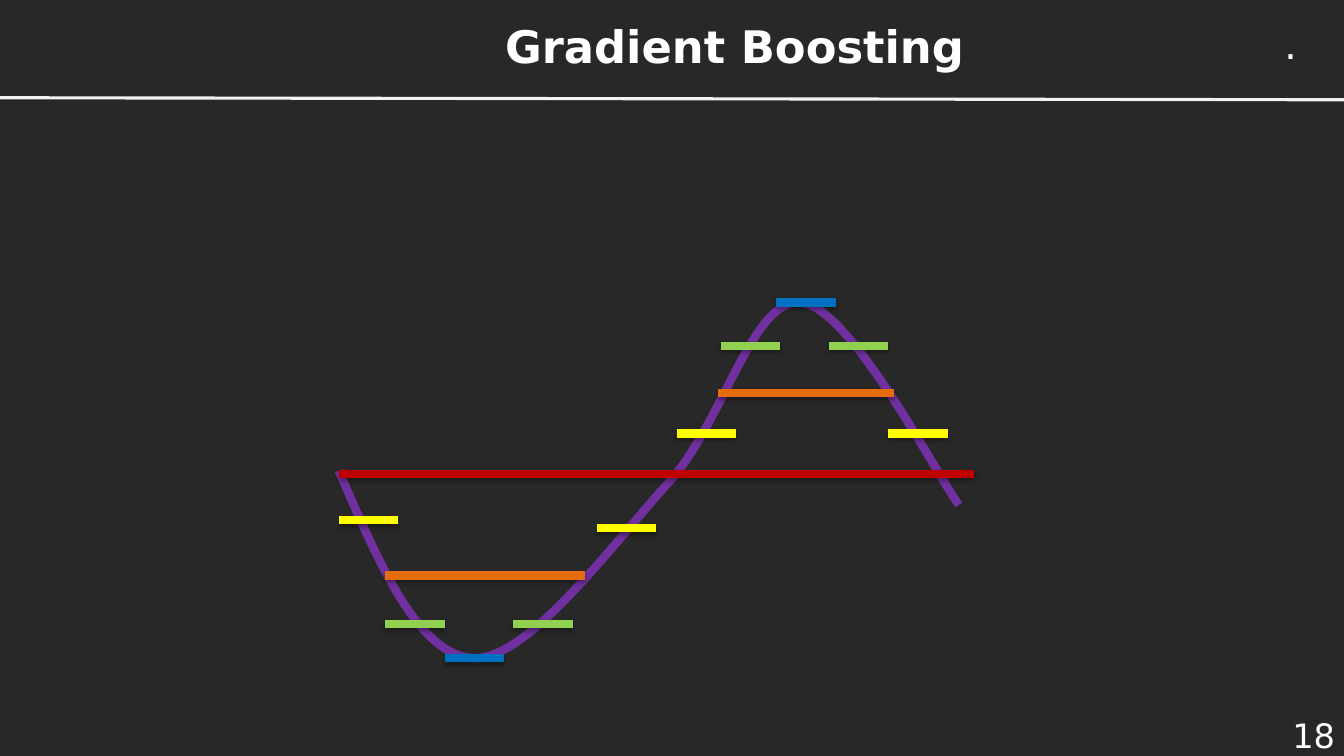
from dataclasses import dataclass

from lxml import etree
from pptx import Presentation
from pptx import util as u
from pptx.dml.color import RGBColor
from pptx.enum import shapes, text
from pptx.oxml import ns


@dataclass(frozen=True)
class Theme:
    font: str = "DejaVu Sans"
    background: str = "272827"
    ink: str = "FFFFFF"
    rule: str = "F2F2F2"
    curve: str = "7030A0"
    red: str = "C00000"
    orange: str = "E46C0A"
    yellow: str = "FFFF00"
    green: str = "92D050"
    blue: str = "0070C0"
    title_size: int = 32
    mark_size: int = 28
    number_size: int = 24
    rule_width: float = 2.25
    fit_width: int = 6


THEME = Theme()
SHORT_STEP = 0.59
CURVE_START = (3.36, 4.67)
CURVE_SEGMENTS = [
    ((3.76, 5.59), (4.15, 6.51), (4.7, 6.53)),
    ((5.24, 6.55), (6.09, 5.38), (6.63, 4.79)),
    ((7.17, 4.2), (7.46, 2.96), (7.94, 3)),
    ((8.42, 3.03), (9.28, 4.69), (9.51, 5.01)),
]
LONG_STEPS = [
    (THEME.red, 3.36, 9.66, 4.7),
    (THEME.orange, 3.82, 5.8, 5.71),
    (THEME.orange, 7.12, 8.87, 3.9),
]
SHORT_STEPS = {
    THEME.yellow: [(3.36, 5.16), (5.92, 5.24), (6.71, 4.3), (8.81, 4.3)],
    THEME.green: [(7.15, 3.43), (8.22, 3.43), (3.82, 6.19), (5.09, 6.19)],
    THEME.blue: [(4.41, 6.53), (7.7, 3)],
}


def add_label(s, words, box, size, align=text.PP_ALIGN.LEFT,
              anchor=text.MSO_ANCHOR.MIDDLE, bold=False, wrap=True):
    tf = s.shapes.add_textbox(*map(u.Inches, box)).text_frame
    tf.word_wrap = wrap
    tf.vertical_anchor = anchor
    p = tf.paragraphs[0]
    p.alignment = align
    r = p.add_run()
    r.text = words
    r.font.name = THEME.font
    r.font.size = u.Pt(size)
    r.font.bold = bold
    r.font.color.rgb = RGBColor.from_string(THEME.ink)
    return tf


def style_line(line, color, width):
    line.color.rgb = RGBColor.from_string(color)
    line.width = u.Pt(width)


def add_line(s, start, end, color, width):
    line = s.shapes.add_connector(
        shapes.MSO_CONNECTOR.STRAIGHT, *map(u.Inches, (*start, *end)))
    style_line(line.line, color, width)
    return etree.SubElement(line._element.spPr, ns.qn("a:effectLst"))


def add_step(s, color, left, right, y):
    effects = add_line(s, (left, y), (right, y), color, THEME.fit_width)
    shadow = etree.SubElement(
        effects, ns.qn("a:outerShdw"), blurRad="40000", dist="23000",
        dir="5400000", rotWithShape="0")
    black = etree.SubElement(shadow, ns.qn("a:srgbClr"), val="000000")
    etree.SubElement(black, ns.qn("a:alpha"), val="35000")


def bezier_point(points, t):
    weights = ((1 - t) ** 3, 3 * t * (1 - t) ** 2, 3 * t ** 2 * (1 - t), t ** 3)
    return tuple(u.Inches(sum(w * c for w, c in zip(weights, axis)))
                 for axis in zip(*points))


def add_curve(s, start, segments, samples=32):
    points = []
    pen = start
    for segment in segments:
        points += [bezier_point((pen, *segment), i / samples)
                   for i in range(1, samples + 1)]
        pen = segment[-1]
    builder = s.shapes.build_freeform(*map(u.Inches, start))
    builder.add_line_segments(points, close=False)
    sp = builder.convert_to_shape()
    sp.shadow.inherit = False
    sp.fill.background()
    style_line(sp.line, THEME.curve, THEME.fit_width)


def main():
    prs = Presentation()
    prs.slide_width, prs.slide_height = u.Inches(13.33), u.Inches(7.5)
    s = prs.slides.add_slide(prs.slide_layouts[6])
    s.background.fill.solid()
    s.background.fill.fore_color.rgb = RGBColor.from_string(THEME.background)

    add_label(s, "18", (12.29, 7.08, 1.05, 0.42), THEME.number_size,
              align=text.PP_ALIGN.RIGHT)
    add_label(s, "Gradient Boosting ", (3.44, 0.19, 7.85, 0.53),
              THEME.title_size, align=text.PP_ALIGN.CENTER, bold=True)
    add_line(s, (0, 0.97), (13.33, 0.99), THEME.rule, THEME.rule_width)
    mark = add_label(s, ".", (12.64, 0.15, 0.34, 0.57), THEME.mark_size,
                     anchor=text.MSO_ANCHOR.TOP, wrap=False)
    mark.auto_size = text.MSO_AUTO_SIZE.SHAPE_TO_FIT_TEXT

    add_curve(s, CURVE_START, CURVE_SEGMENTS)
    for step in LONG_STEPS:
        add_step(s, *step)
    for color, places in SHORT_STEPS.items():
        for left, y in places:
            add_step(s, color, left, left + SHORT_STEP, y)

    prs.save("out.pptx")


if __name__ == "__main__":
    main()
